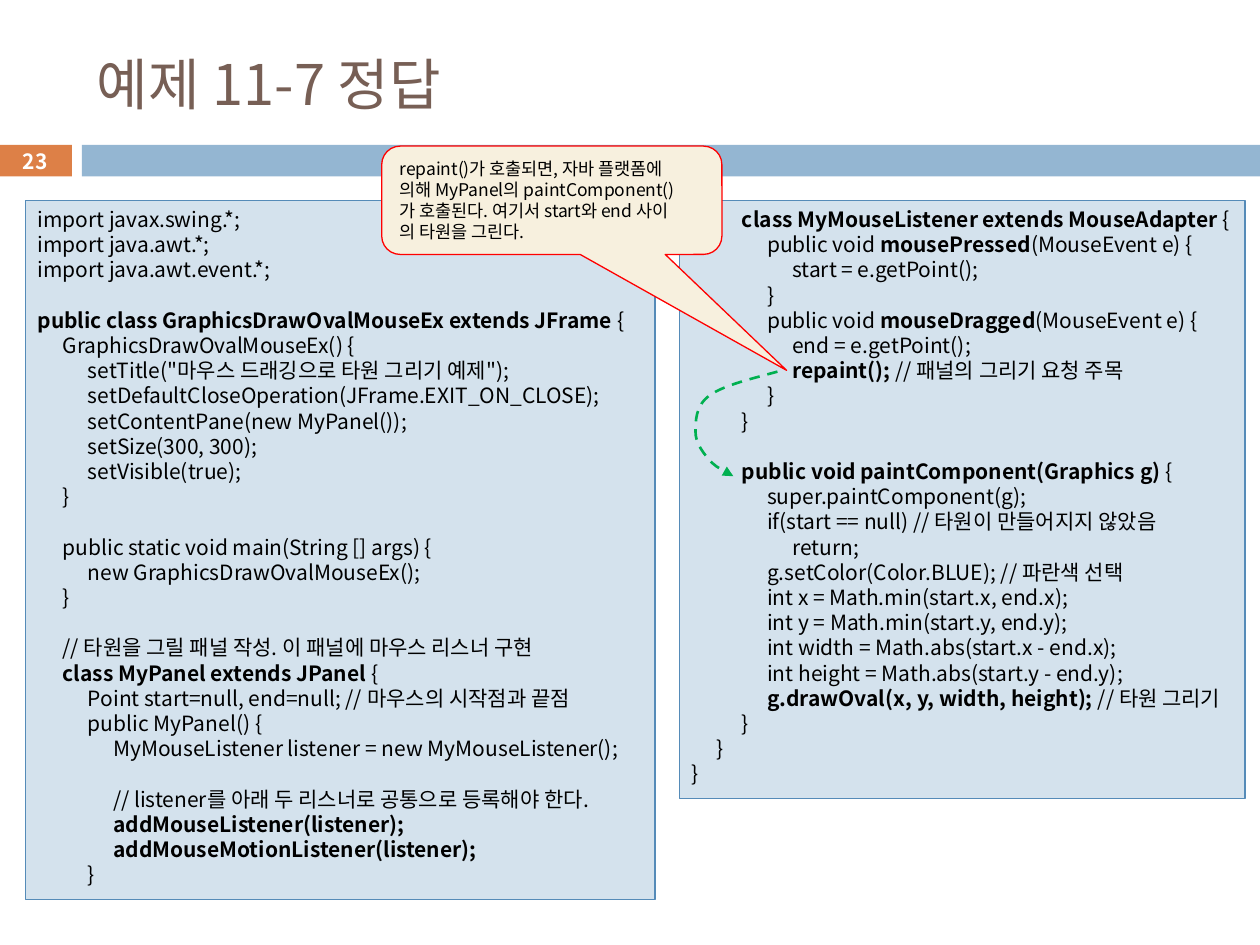
"""Build the slide with the answer to example 11-7."""
import pptx
import pptx.util
import pptx.dml.color
import pptx.enum.dml
import pptx.enum.shapes
import pptx.enum.text
import lxml.etree

SHAPE = pptx.enum.shapes.MSO_SHAPE
ALIGN = pptx.enum.text.PP_ALIGN
ANCHOR = pptx.enum.text.MSO_ANCHOR
INCH = pptx.util.Inches
WIDE, HIGH = 10, 7.5

THEME = {
    "font": "Noto Sans CJK KR",
    "title": "775F55", "badge": "DD8047", "band": "94B6D2",
    "panel": "D4E2ED", "edge": "558BB8", "note": "F7F0DE",
    "alert": "FF0000", "arrow": "00B050", "ink": "000000", "light": "FFFFFF",
    "head_size": 32, "page_size": 12, "code_size": 12, "note_size": 10,
    "lead": 1.2, "step": 0.2, "thin": 0.75, "thick": 1.5,
}

TITLE = "예제 11-7 정답"
PAGE = "23"
LEFT = [
    (0, "import javax.swing.*;"),
    (0, "import java.awt.*;"),
    (0, "import java.awt.event.*;"),
    (0, ""),
    (0, "|public class GraphicsDrawOvalMouseEx extends JFrame |{"),
    (1, "GraphicsDrawOvalMouseEx() {"),
    (2, 'setTitle("마우스 드래깅으로 타원 그리기 예제");'),
    (2, "setDefaultCloseOperation(JFrame.EXIT_ON_CLOSE);"),
    (2, "setContentPane(new MyPanel());"),
    (2, "setSize(300, 300);"),
    (2, "setVisible(true);"),
    (1, "}"),
    (0, ""),
    (1, "public static void main(String [] args) {"),
    (2, "new GraphicsDrawOvalMouseEx();"),
    (1, "}"),
    (0, ""),
    (1, "// 타원을 그릴 패널 작성. 이 패널에 마우스 리스너 구현"),
    (1, "|class MyPanel extends JPanel |{"),
    (2, "Point start=null, end=null; // 마우스의 시작점과 끝점"),
    (2, "public MyPanel() {"),
    (3, "MyMouseListener listener = new MyMouseListener();"),
    (0, ""),
    (3, "// listener를 아래 두 리스너로 공통으로 등록해야 한다."),
    (3, "|addMouseListener(listener);"),
    (3, "|addMouseMotionListener(listener);"),
    (2, "}"),
]
RIGHT = [
    (2, "|class MyMouseListener extends MouseAdapter |{"),
    (3, "public void |mousePressed|(MouseEvent e) {"),
    (4, "start = e.getPoint();"),
    (3, "}"),
    (3, "public void |mouseDragged|(MouseEvent e) {"),
    (4, "end = e.getPoint();"),
    (4, "|repaint(); |// 패널의 그리기 요청 주목"),
    (3, "}"),
    (2, "}"),
    (0, ""),
    (2, "|public void paintComponent(Graphics g) |{"),
    (3, "super.paintComponent(g);"),
    (3, "if(start == null) // 타원이 만들어지지 않았음"),
    (4, "return;"),
    (3, "g.setColor(Color.BLUE); // 파란색 선택"),
    (3, "int x = Math.min(start.x, end.x);"),
    (3, "int y = Math.min(start.y, end.y);"),
    (3, "int width = Math.abs(start.x - end.x);"),
    (3, "int height = Math.abs(start.y - end.y);"),
    (3, "|g.drawOval(x, y, width, height);| // 타원 그리기"),
    (2, "}"),
    (1, "}"),
    (0, "}"),
]
NOTE = [
    (0, "repaint()가 호출되면, 자바 플랫폼에"),
    (0, "의해 MyPanel의 paintComponent()"),
    (0, "가 호출된다. 여기서 start와 end 사이"),
    (0, "의 타원을 그린다."),
]
CURVE = [
    (6.17, 2.95), (5.95, 3.01), (5.74, 3.06), (5.63, 3.14),
    (5.52, 3.22), (5.52, 3.34), (5.52, 3.43),
    (5.52, 3.51), (5.57, 3.58), (5.62, 3.64),
    (5.67, 3.70), (5.75, 3.74), (5.82, 3.78),
]


def tint(name):
    return pptx.dml.color.RGBColor.from_string(THEME[name])


def apply(item, form):
    for key, val in form.items():
        setattr(item, key, val)


def tag(name):
    return pptx.oxml.ns.qn("a:" + name)


def write(shape, rows, size, ink="ink", bold=False, side=ALIGN.LEFT, anchor=ANCHOR.TOP):
    frame = shape.text_frame
    apply(frame, {"word_wrap": True, "vertical_anchor": anchor})
    lead = pptx.util.Pt(THEME[size] * THEME["lead"])
    gap, first = 0, True
    for level, text in rows:
        if not text:
            gap += lead
            continue
        para = frame.paragraphs[0] if first else frame.add_paragraph()
        apply(para, {"alignment": side, "line_spacing": lead, "space_before": gap})
        para._p.get_or_add_pPr().set("marL", str(INCH(level * THEME["step"])))
        gap, first = 0, False
        for spot, part in enumerate(text.split("|")):
            if not part:
                continue
            run = para.add_run()
            run.text = part
            apply(run.font, {"name": THEME["font"], "size": pptx.util.Pt(THEME[size]),
                             "bold": bold or spot % 2 == 1})
            run.font.color.rgb = tint(ink)
            east = lxml.etree.SubElement(run.font._element, tag("ea"))
            east.set("typeface", THEME["font"])


def block(slide, kind, box, fill, edge=None):
    shape = slide.shapes.add_shape(kind, *map(INCH, box))
    shape.shadow.inherit = False
    shape.fill.solid()
    shape.fill.fore_color.rgb = tint(fill)
    if edge:
        shape.line.color.rgb = tint(edge)
        shape.line.width = pptx.util.Pt(THEME["thin"])
    else:
        shape.line.fill.background()
    return shape


def bend(slide):
    dots = [(INCH(x), INCH(y)) for x, y in CURVE]
    pen = slide.shapes.build_freeform(*dots[0])
    pen.add_line_segments(dots[1:], close=False)
    shape = pen.convert_to_shape()
    shape.shadow.inherit = False
    shape.fill.background()
    apply(shape.line, {"width": pptx.util.Pt(THEME["thick"]),
                       "dash_style": pptx.enum.dml.MSO_LINE.DASH})
    shape.line.color.rgb = tint("arrow")
    legs = shape._element.xpath(".//a:lnTo")
    for start in range(0, len(legs), 3):
        trio = legs[start:start + 3]
        cubic = lxml.etree.SubElement(trio[0].getparent(), tag("cubicBezTo"))
        for leg in trio:
            cubic.append(leg[0])
            leg.getparent().remove(leg)
    lxml.etree.SubElement(shape.line._get_or_add_ln(), tag("tailEnd")).set("type", "triangle")


def main():
    deck = pptx.Presentation()
    apply(deck, {"slide_width": INCH(WIDE), "slide_height": INCH(HIGH)})
    slide = deck.slides.add_slide(deck.slide_layouts[6])
    badge = block(slide, SHAPE.RECTANGLE, (-0.01, 1.15, 0.58, 0.25), "badge")
    block(slide, SHAPE.RECTANGLE, (0.65, 1.15, WIDE - 0.65, 0.25), "band")
    head = slide.shapes.add_textbox(*map(INCH, (0.67, 0.25, 8.92, 0.82)))
    write(head, [(0, TITLE)], "head_size", "title", anchor=ANCHOR.MIDDLE)
    apply(badge.text_frame, dict.fromkeys(("margin_top", "margin_bottom"), 0))
    write(badge, [(0, PAGE)], "page_size", "light", True, ALIGN.CENTER, ANCHOR.MIDDLE)
    for rows, box in ((LEFT, (0.2, 1.59, 5, 5.55)), (RIGHT, (5.39, 1.59, 4.49, 4.75))):
        write(block(slide, SHAPE.RECTANGLE, box, "panel", "edge"), rows, "code_size")
    note = block(slide, SHAPE.ROUNDED_RECTANGULAR_CALLOUT, (3.03, 1.16, 2.7, 0.86), "note", "alert")
    for spot, share in enumerate((0.69, 1.57, 0.17)):
        note.adjustments[spot] = share
    write(note, NOTE, "note_size")
    bend(slide)
    deck.save("out.pptx")


if __name__ == "__main__":
    main()
